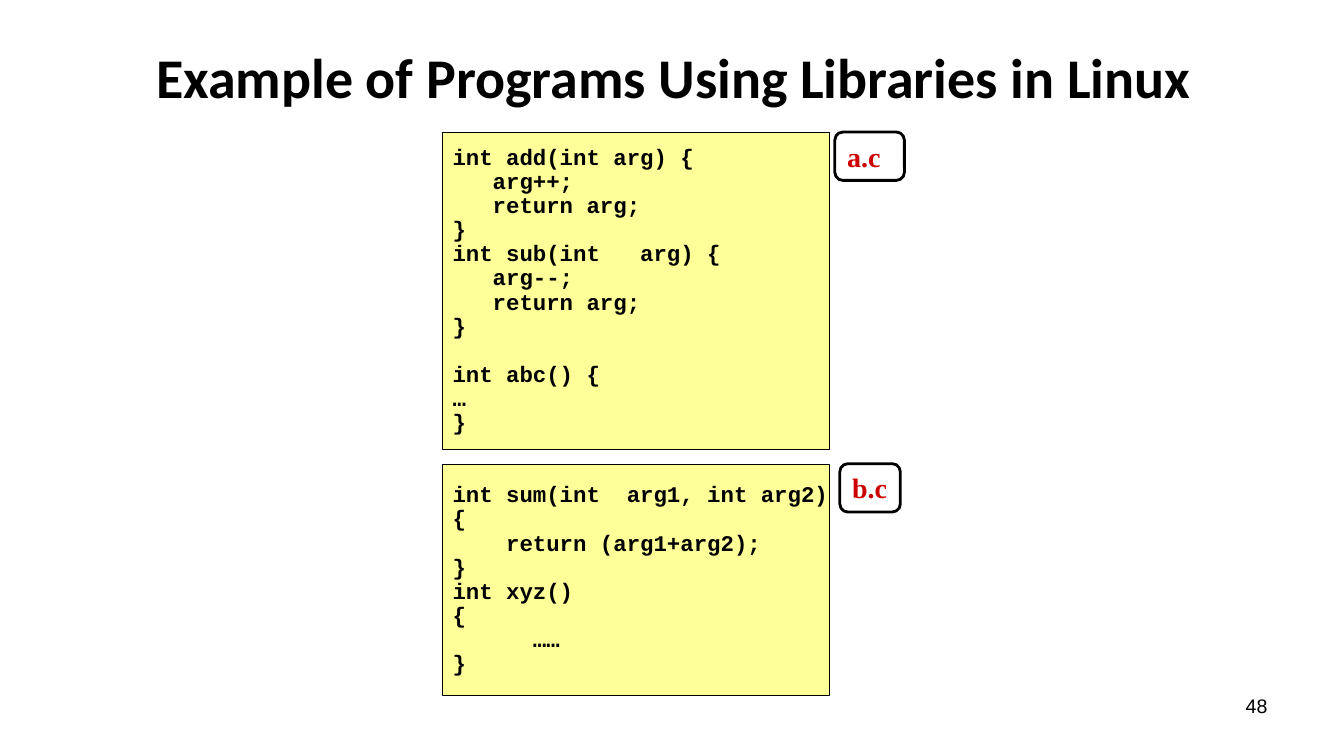
import pptx
import pptx.util
import pptx.dml.color
import pptx.enum.shapes
import pptx.enum.text

Inches = pptx.util.Inches
Pt = pptx.util.Pt
RGBColor = pptx.dml.color.RGBColor
Shape = pptx.enum.shapes.MSO_SHAPE
Align = pptx.enum.text.PP_ALIGN
Anchor = pptx.enum.text.MSO_ANCHOR

BLACK = RGBColor(0x00, 0x00, 0x00)
WHITE = RGBColor(0xFF, 0xFF, 0xFF)
CODE_YELLOW = RGBColor(0xFF, 0xFF, 0x99)
FILE_RED = RGBColor(0xCC, 0x00, 0x00)

A_SOURCE = """int add(int arg) {
   arg++;
   return arg;
}
int sub(int   arg) {
   arg--;
   return arg;
}

int abc() {
…
}"""

B_SOURCE = """int sum(int  arg1, int arg2)
{
    return (arg1+arg2);
}
int xyz()
{
      ……
}"""


class LibrarySlide:
    """Holds the current slide and draws its text, code panels and file tags."""

    def __init__(self, slide):
        self.slide = slide

    def add_lines(self, holder, lines, font, size, color=BLACK, bold=True,
                  align=Align.LEFT, anchor=Anchor.TOP, spacing=1.0):
        frame = holder.text_frame
        frame.word_wrap = True
        frame.vertical_anchor = anchor
        for index, line in enumerate(lines):
            paragraph = frame.paragraphs[0] if index == 0 else frame.add_paragraph()
            paragraph.alignment = align
            paragraph.line_spacing = spacing
            paragraph.font.size = Pt(size)
            if line:
                run = paragraph.add_run()
                run.text = line
                run.font.name = font
                run.font.size = Pt(size)
                run.font.bold = bold
                run.font.color.rgb = color

    def text(self, box, words, font, size, **style):
        holder = self.slide.shapes.add_textbox(*map(Inches, box))
        self.add_lines(holder, [words], font, size, **style)

    def panel(self, kind, box, fill, line_width):
        panel = self.slide.shapes.add_shape(kind, *map(Inches, box))
        panel.shadow.inherit = False
        panel.fill.solid()
        panel.fill.fore_color.rgb = fill
        panel.line.color.rgb = BLACK
        panel.line.width = Pt(line_width)
        panel.text_frame.margin_right = 0
        return panel

    def code(self, top, height, source):
        panel = self.panel(Shape.RECTANGLE, (4.39, top, 3.84, height), CODE_YELLOW, 0.75)
        self.add_lines(panel, source.split("\n"), "Courier New", 16,
                       anchor=Anchor.MIDDLE, spacing=0.9)

    def file_tag(self, left, top, width, filename):
        tag = self.panel(Shape.ROUNDED_RECTANGLE, (left, top, width, 0.48), WHITE, 2)
        self.add_lines(tag, [filename], "Times New Roman", 20, color=FILE_RED)


def main():
    deck = pptx.Presentation()
    deck.slide_width = Inches(13.33)
    deck.slide_height = Inches(7.5)
    page = LibrarySlide(deck.slides.add_slide(deck.slide_layouts[6]))

    page.text((0.68, 0.13, 12, 1.25), "Example of Programs Using Libraries in Linux",
              "Calibri", 40, align=Align.CENTER, anchor=Anchor.MIDDLE)
    page.text((9.56, 6.83, 3.11, 0.52), "48", "Arial", 14, bold=False, align=Align.RIGHT)
    page.code(1.31, 3.15, A_SOURCE)
    page.code(4.61, 2.29, B_SOURCE)
    page.file_tag(8.28, 1.31, 0.69, "a.c")
    page.file_tag(8.33, 4.6, 0.6, "b.c")

    deck.save("out.pptx")


if __name__ == "__main__":
    main()
